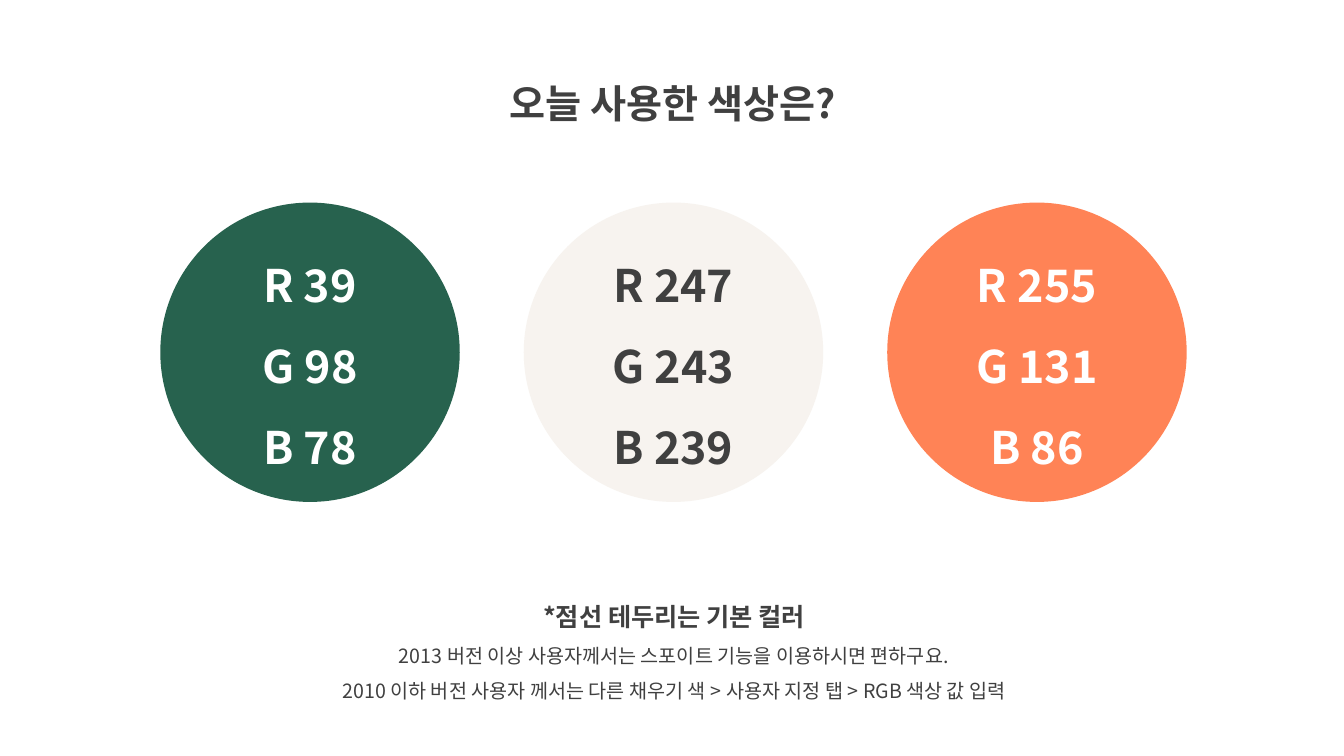
from dataclasses import dataclass

from lxml.etree import SubElement
from pptx import Presentation
from pptx.dml.color import RGBColor
from pptx.enum.shapes import MSO_SHAPE
from pptx.enum.text import MSO_ANCHOR, PP_ALIGN
from pptx.oxml.ns import qn
from pptx.util import Inches, Pt


@dataclass(frozen=True)
class Theme:
    font: str = "Noto Sans CJK KR"
    dark: RGBColor = RGBColor(64, 64, 64)
    white: RGBColor = RGBColor(255, 255, 255)
    green: RGBColor = RGBColor(39, 98, 78)
    cream: RGBColor = RGBColor(247, 243, 239)
    orange: RGBColor = RGBColor(255, 131, 86)
    title_size: int = 28
    value_size: int = 32
    heading_size: int = 18
    body_size: int = 14
    line_spacing: float = 1.5


THEME = Theme()


def write_lines(text_frame, lines, color):
    """Write centred paragraphs from (text, size, bold) entries."""
    text_frame.word_wrap = True
    for index, (text, size, bold) in enumerate(lines):
        paragraph = text_frame.paragraphs[0] if index == 0 else text_frame.add_paragraph()
        paragraph.alignment = PP_ALIGN.CENTER
        paragraph.line_spacing = THEME.line_spacing
        run = paragraph.add_run()
        run.text = text
        run.font.size = Pt(size)
        run.font.bold = bold
        run.font.color.rgb = color
        run.font.name = THEME.font
        # Hangul takes its typeface from the East Asian font
        SubElement(run._r.get_or_add_rPr(), qn("a:ea"), typeface=THEME.font)


def add_text_block(slide, box, lines):
    text_box = slide.shapes.add_textbox(*map(Inches, box))
    write_lines(text_box.text_frame, lines, THEME.dark)


def add_title(slide, box):
    add_text_block(slide, box, [("오늘 사용한 색상은?", THEME.title_size, True)])


def add_swatches(slide, box, swatches):
    """Spread equal circles across the box, each showing its RGB values."""
    left, top, width, diameter = box
    step = (width - diameter) / (len(swatches) - 1)
    for index, (fill, text_color) in enumerate(swatches):
        circle = slide.shapes.add_shape(
            MSO_SHAPE.OVAL, Inches(left + index * step), Inches(top),
            Inches(diameter), Inches(diameter))
        circle.shadow.inherit = False
        circle.fill.solid()
        circle.fill.fore_color.rgb = fill
        circle.line.fill.background()
        circle.text_frame.vertical_anchor = MSO_ANCHOR.MIDDLE
        lines = [(f"{channel} {value}", THEME.value_size, True)
                 for channel, value in zip("RGB", fill)]
        write_lines(circle.text_frame, lines, text_color)


def add_notes_block(slide, box):
    add_text_block(slide, box, [
        ("*점선 테두리는 기본 컬러", THEME.heading_size, True),
        ("2013 버전 이상 사용자께서는 스포이트 기능을 이용하시면 편하구요.",
         THEME.body_size, False),
        ("2010 이하 버전 사용자 께서는 다른 채우기 색 > 사용자 지정 탭 > RGB 색상 값 입력",
         THEME.body_size, False),
    ])


def build_color_slide(presentation):
    slide = presentation.slides.add_slide(presentation.slide_layouts[6])
    # Title
    add_title(slide, (4.36, 0.5, 4.63, 0.72))
    # Usage guide
    add_notes_block(slide, (2.69, 5.77, 7.99, 1.26))
    # Colour circles
    add_swatches(slide, (1.59, 2.01, 10.18, 2.97), [
        (THEME.green, THEME.white),
        (THEME.cream, THEME.dark),
        (THEME.orange, THEME.white),
    ])


presentation = Presentation()
presentation.slide_width = Inches(13.33)
presentation.slide_height = Inches(7.5)
build_color_slide(presentation)
presentation.save("out.pptx")
